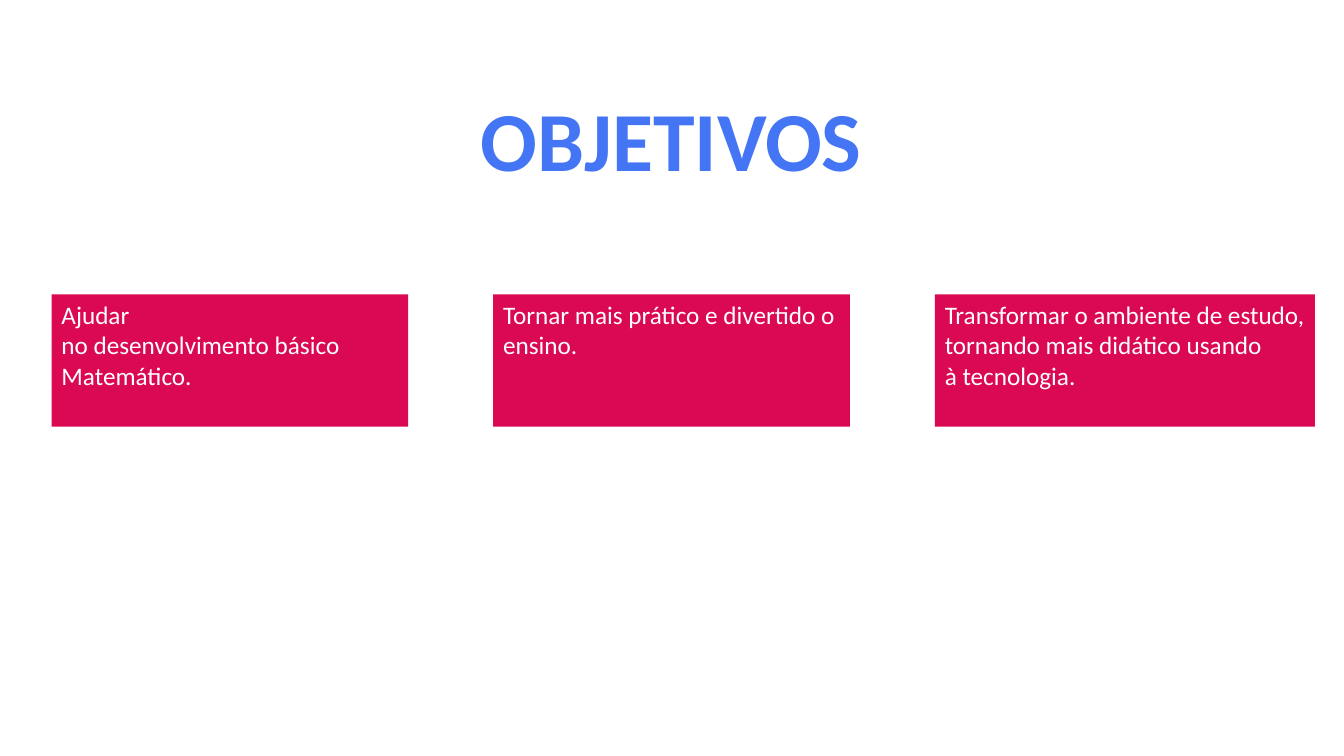
import dataclasses

import pptx
import pptx.dml.color
import pptx.enum.shapes
import pptx.enum.text
import pptx.util

Cm = pptx.util.Cm
RGBColor = pptx.dml.color.RGBColor
Align = pptx.enum.text.PP_ALIGN

BLUE = RGBColor(0x44, 0x75, 0xF4)
CRIMSON = RGBColor(0xDB, 0x08, 0x53)
WHITE = RGBColor(0xFF, 0xFF, 0xFF)
FONT = "Calibri"

FIRST_LEFT = 1.3
PITCH = 11.13
BOX_TOP = 7.42
BOX_HEIGHT = 3.33


@dataclasses.dataclass(frozen=True)
class Objective:
    paragraphs: tuple[str, ...]
    width: float = 8.99


OBJECTIVES = (
    Objective(("Ajudar no\u00a0desenvolvimento\u00a0básico\u00a0", "Matemático.")),
    Objective(("Tornar mais prático e divertido o ensino.",)),
    Objective(
        (
            "Transformar o ambiente de estudo, tornando mais didático "
            "usando à\u00a0tecnologia.",
        ),
        width=9.58,
    ),
)


def write_text(
    shape,
    paragraphs: tuple[str, ...],
    *,
    size: int,
    color: RGBColor,
    bold: bool = False,
    align: Align = Align.LEFT,
) -> None:
    frame = shape.text_frame
    frame.word_wrap = True
    frame.auto_size = pptx.enum.text.MSO_AUTO_SIZE.NONE
    frame.vertical_anchor = pptx.enum.text.MSO_ANCHOR.TOP
    frame.text = "\n".join(paragraphs)
    for para in frame.paragraphs:
        para.alignment = align
        para.line_spacing = 1.0
        para.space_before = pptx.util.Pt(0)
        for span in para.runs:
            span.font.name = FONT
            span.font.size = pptx.util.Pt(size)
            span.font.bold = bold
            span.font.color.rgb = color


def draw_title(page, text: str) -> None:
    title = page.shapes.title
    title.left, title.top = Cm(9.98), Cm(2.08)
    title.width, title.height = Cm(13.87), Cm(2.82)
    write_text(title, (text,), size=60, color=BLUE, bold=True, align=Align.CENTER)


def draw_objective(page, objective: Objective, column: int) -> None:
    box = page.shapes.add_shape(
        pptx.enum.shapes.MSO_SHAPE.RECTANGLE,
        Cm(FIRST_LEFT + column * PITCH),
        Cm(BOX_TOP),
        Cm(objective.width),
        Cm(BOX_HEIGHT),
    )
    box.shadow.inherit = False
    box.fill.solid()
    box.fill.fore_color.rgb = CRIMSON
    box.line.fill.background()
    write_text(box, objective.paragraphs, size=18, color=WHITE)


deck = pptx.Presentation()
deck.slide_width, deck.slide_height = Cm(33.87), Cm(19.05)
page = deck.slides.add_slide(deck.slide_layouts.get_by_name("Title Only"))
page.background.fill.solid()
page.background.fill.fore_color.rgb = WHITE

draw_title(page, "OBJETIVOS")
for column, objective in enumerate(OBJECTIVES):
    draw_objective(page, objective, column)

deck.save("out.pptx")
